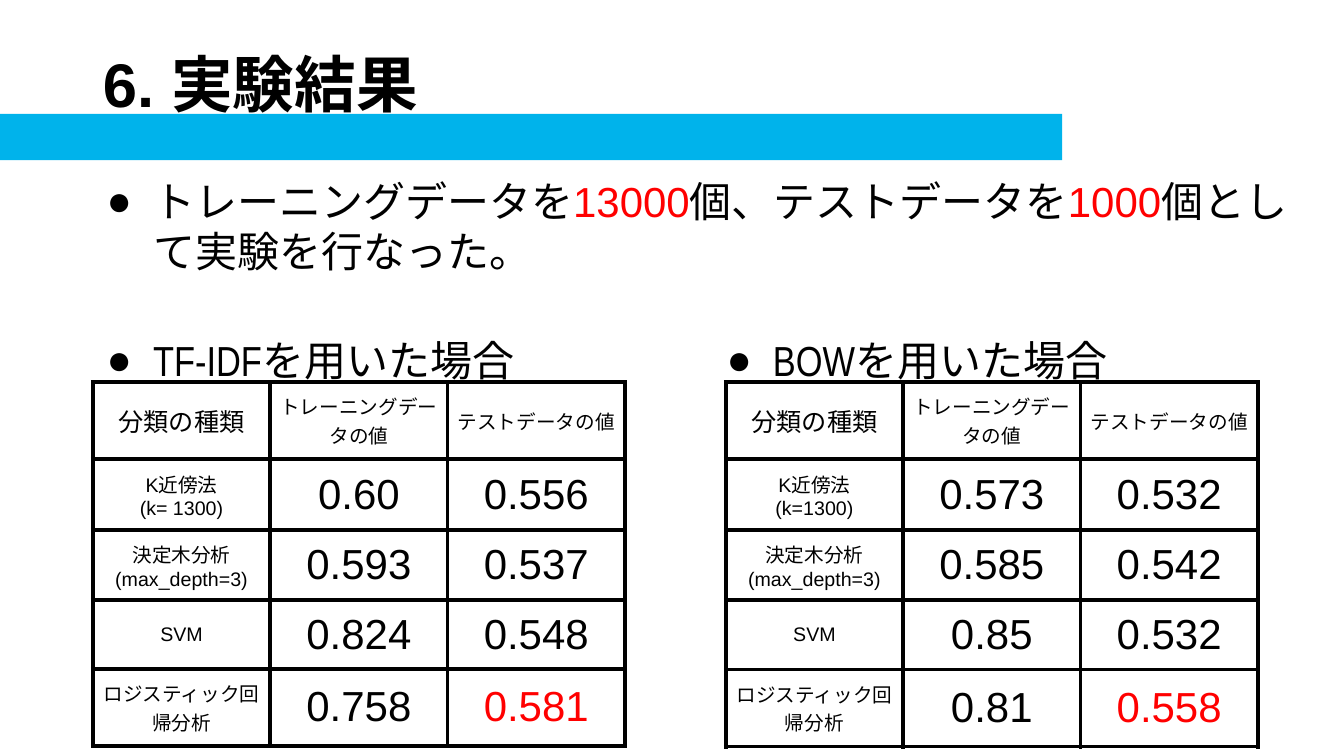
"""Build the experiment results slide with its two score tables."""
from lxml import etree
from pptx import Presentation
from pptx.dml.color import RGBColor
from pptx.enum import lang, shapes, text
from pptx.oxml import ns
from pptx.util import Cm, Pt

BLACK, RED, BLUE = "000000", "FF0000", "00B3EB"
TITLE = "6. 実験結果"
INTRO = [("トレーニングデータを", BLACK), ("13000", RED), ("個、テストデータを", BLACK),
         ("1000", RED), ("個として実験を行なった。", BLACK)]
HEADER = ("分類の種類", "トレーニングデータの値", "テストデータの値")
RESULTS = [
    {"caption": "TF-IDFを用いた場合", "idx": 1, "caption_left": 2.34,
     "left": 2.34, "heights": (1.88, 1.73),
     "rows": [("K近傍法\n(k= 1300)", "0.60", "0.556"),
              ("決定木分析\n(max_depth=3)", "0.593", "0.537"),
              ("SVM", "0.824", "0.548"),
              ("ロジスティック回帰分析", "0.758", "0.581")]},
    {"caption": "BOWを用いた場合", "idx": 3, "caption_left": 17.96,
     "left": 18.29, "heights": (1.75, 1.75),
     "rows": [("K近傍法\n(k=1300)", "0.573", "0.532"),
              ("決定木分析\n(max_depth=3)", "0.585", "0.542"),
              ("SVM", "0.85", "0.532"),
              ("ロジスティック回帰分析", "0.81", "0.558")]},
]
COLUMN_WIDTH, TABLE_TOP, INSET = 4.47, 9.63, 0.25


def rgb(value):
    return RGBColor.from_string(value)


def style(r, size, color=BLACK, name="Arial", bold=False):
    r.font.size, r.font.name, r.font.bold = Pt(size), name, bold
    r.font.color.rgb = rgb(color)
    r.font.language_id = lang.MSO_LANGUAGE_ID.JAPANESE


def place(sp, left, top, width, height, anchor, inset=INSET):
    sp.left, sp.top, sp.width, sp.height = Cm(left), Cm(top), Cm(width), Cm(height)
    tf = sp.text_frame
    tf.word_wrap, tf.auto_size = True, text.MSO_AUTO_SIZE.NONE
    tf.vertical_anchor = anchor
    tf.margin_left = tf.margin_right = Cm(INSET)
    tf.margin_top = tf.margin_bottom = Cm(inset)
    return tf.paragraphs[0]


def add_bullet(p, spacing):
    p.line_spacing, p.space_before = spacing, Pt(0)
    pPr = p._p.get_or_add_pPr()
    pPr.set("marL", str(Cm(1.27)))
    pPr.set("indent", str(Cm(-1.17)))
    color = etree.SubElement(pPr, ns.qn("a:buClr"))
    etree.SubElement(color, ns.qn("a:srgbClr"), val=BLACK)
    etree.SubElement(pPr, ns.qn("a:buFont"), typeface="Arial")
    etree.SubElement(pPr, ns.qn("a:buChar"), char="●")


def add_borders(cell):
    tcPr = cell._tc.get_or_add_tcPr()
    for side in ("a:lnL", "a:lnR", "a:lnT", "a:lnB"):
        line = etree.SubElement(tcPr, ns.qn(side), w=str(Pt(3)))
        fill = etree.SubElement(line, ns.qn("a:solidFill"))
        etree.SubElement(fill, ns.qn("a:srgbClr"), val=BLACK)


def fill_cell(cell, value, size, color):
    cell.text = value
    add_borders(cell)
    cell.fill.background()
    cell.vertical_anchor = text.MSO_ANCHOR.MIDDLE
    cell.margin_left = cell.margin_right = Cm(INSET)
    cell.margin_top = cell.margin_bottom = Cm(INSET)
    for p in cell.text_frame.paragraphs:
        p.alignment = text.PP_ALIGN.CENTER
        for r in p.runs:
            style(r, size, color)


def add_scores(s, result):
    rows = [HEADER] + result["rows"]
    first, other = result["heights"]
    table = s.shapes.add_table(
        len(rows), len(HEADER), Cm(result["left"]), Cm(TABLE_TOP),
        Cm(COLUMN_WIDTH * len(HEADER)), Cm(first + other * (len(rows) - 1))).table
    table.first_row = table.horz_banding = False
    best = max(row[2] for row in result["rows"])
    for i, row in enumerate(rows):
        table.rows[i].height = Cm(other if i else first)
        for j, value in enumerate(row):
            table.columns[j].width = Cm(COLUMN_WIDTH)
            size = 30 if i and j else 14 if i or j else 18
            fill_cell(table.cell(i, j), value, size, RED if value == best else BLACK)


def main():
    prs = Presentation()
    prs.slide_width, prs.slide_height = Cm(33.87), Cm(19.05)
    s = prs.slides.add_slide(prs.slide_layouts.get_by_name("Comparison"))
    holders = {sp.placeholder_format.idx: sp for sp in s.placeholders}

    p = place(s.shapes.title, 2.34, 0.36, 29.21, 3.68, text.MSO_ANCHOR.MIDDLE, 0.13)
    p.text, p.alignment, p.line_spacing = TITLE, text.PP_ALIGN.LEFT, 0.9
    style(p.runs[0], 44, bold=True)

    band = s.shapes.add_shape(shapes.MSO_SHAPE.RECTANGLE, 0, Cm(2.87), Cm(26.77), Cm(1.17))
    band.shadow.inherit = False
    band.fill.solid()
    band.fill.fore_color.rgb = rgb(BLUE)
    band.line.fill.background()

    p = place(holders[2], 2.34, 4.5, 31.12, 2.39, text.MSO_ANCHOR.MIDDLE)
    add_bullet(p, 1.0)
    for value, color in INTRO:
        r = p.add_run()
        r.text = value
        style(r, 30, color)

    for result in RESULTS:
        p = place(holders[result["idx"]], result["caption_left"], 7.54, 14.48, 2.08,
                  text.MSO_ANCHOR.TOP)
        p.text = result["caption"]
        add_bullet(p, 1.5)
        style(p.runs[0], 30, name="Arial Narrow")
        add_scores(s, result)

    unused = holders[4].element
    unused.getparent().remove(unused)
    prs.save("out.pptx")


if __name__ == "__main__":
    main()
